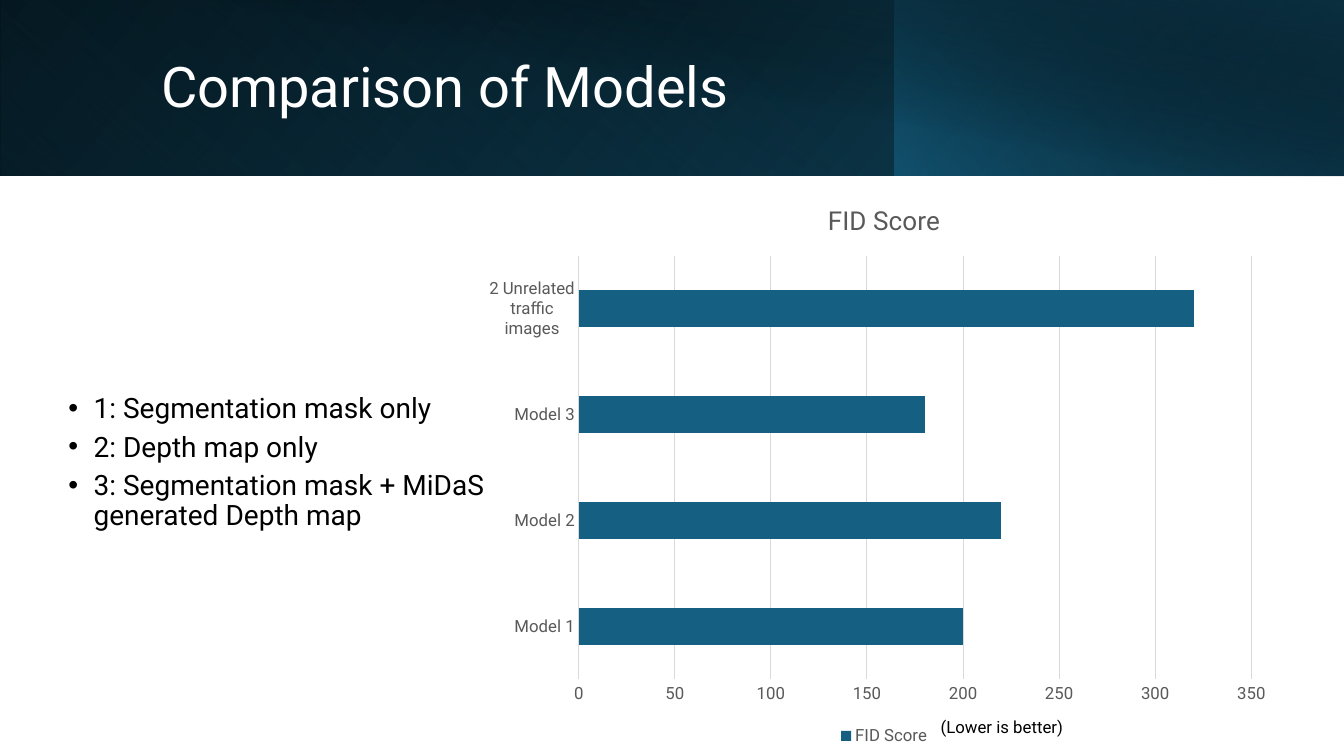
from lxml import etree
from pptx import Presentation
from pptx import util as u
from pptx.chart import data as chart_data
from pptx.dml import color
from pptx.enum import chart as ch, shapes, text
from pptx.oxml import ns

FONT = "Roboto"
WHITE, BLACK, GREY, RULE, TEAL = "FFFFFF", "000000", "595959", "D9D9D9", "156082"


def rgb(value):
    return color.RGBColor.from_string(value)


def add_node(parent, tag, **attributes):
    return etree.SubElement(parent, ns.qn(tag), {k: str(v) for k, v in attributes.items()})


class SlideBuilder:
    def __init__(self, slide):
        self.slide = slide

    def style_font(self, font, size, hue):
        font.name, font.size, font.bold = FONT, u.Pt(size), False
        font.color.rgb = rgb(hue)

    def gradient_band(self, place, stops, angle, flip=False, rotation=0):
        """Add a rectangle; each stop is (position %, colour, opacity %)."""
        band = self.slide.shapes.add_shape(
            shapes.MSO_SHAPE.RECTANGLE, *[u.Inches(n) for n in place])
        band.shadow.inherit = False
        band.line.fill.background()
        band.rotation = rotation
        props = band._element.spPr
        if flip:
            props.find(ns.qn("a:xfrm")).set("flipH", "1")
        fill = etree.Element(ns.qn("a:gradFill"), rotWithShape="1")
        stop_list = add_node(fill, "a:gsLst")
        for position, hue, opacity in stops:
            stop = add_node(stop_list, "a:gs", pos=position * 1000)
            tint = add_node(stop, "a:srgbClr", val=hue)
            if opacity < 100:
                add_node(tint, "a:alpha", val=opacity * 1000)
        add_node(fill, "a:lin", ang=angle * 60000, scaled=0)
        props.find(ns.qn("a:prstGeom")).addnext(fill)

    def text_box(self, place, lines, size, hue, middle=True, bullets=False, left_inset=0.1):
        box = self.slide.shapes.add_textbox(*[u.Inches(n) for n in place])
        frame = box.text_frame
        frame.word_wrap = True
        frame.margin_left = u.Inches(left_inset)
        if not middle:
            frame.margin_top = u.Inches(0.1)
        frame.vertical_anchor = text.MSO_ANCHOR.MIDDLE if middle else text.MSO_ANCHOR.TOP
        for index, line in enumerate(lines):
            para = frame.add_paragraph() if index else frame.paragraphs[0]
            para.line_spacing = 0.9
            if bullets:
                para.space_after = u.Pt(6)
                props = para._p.get_or_add_pPr()
                props.set("marL", str(u.Inches(0.33)))
                props.set("indent", str(u.Inches(-0.25)))
                add_node(props, "a:buFont", typeface="Arial")
                add_node(props, "a:buChar", char="•")
            span = para.add_run()
            span.text = line
            self.style_font(span.font, size, hue)

    def bar_chart(self, place, name, scores):
        data = chart_data.CategoryChartData()
        data.categories = list(scores)
        data.add_series(name, list(scores.values()))
        chart = self.slide.shapes.add_chart(
            ch.XL_CHART_TYPE.BAR_CLUSTERED, *[u.Inches(n) for n in place], data).chart
        self.style_font(chart.font, 10, BLACK)

        # Title and legend
        chart.has_title = True
        span = chart.chart_title.text_frame.paragraphs[0].add_run()
        span.text = name
        self.style_font(span.font, 18.6, GREY)
        chart.chart_title.include_in_layout = False
        chart.has_legend = True
        chart.legend.position = ch.XL_LEGEND_POSITION.BOTTOM
        chart.legend.include_in_layout = False
        self.style_font(chart.legend.font, 12, GREY)

        # Bars
        plot = chart.plots[0]
        plot.gap_width = 182
        plot.vary_by_categories = False
        fill = plot.series[0].format.fill
        fill.solid()
        fill.fore_color.rgb = rgb(TEAL)

        # Axes
        for axis in (chart.category_axis, chart.value_axis):
            axis.major_tick_mark = axis.minor_tick_mark = ch.XL_TICK_MARK.NONE
            self.style_font(axis.tick_labels.font, 12, GREY)
        chart.category_axis.has_major_gridlines = False
        chart.value_axis.has_major_gridlines = True
        chart.value_axis.minimum_scale = 0
        chart.value_axis.maximum_scale = 350
        chart.value_axis.major_unit = 50
        chart.value_axis.format.line.fill.background()
        for line in (chart.category_axis.format.line,
                     chart.value_axis.major_gridlines.format.line):
            line.color.rgb = rgb(RULE)
            line.width = u.Pt(0.75)


def main():
    deck = Presentation()
    deck.slide_width, deck.slide_height = u.Inches(13.33), u.Inches(7.5)
    page = SlideBuilder(deck.slides.add_slide(deck.slide_layouts[6]))

    # Header made of layered gradients
    page.gradient_band((0, 0, 13.33, 1.74),
                       [(0, BLACK, 100), (100, "104862", 100)], 140, flip=True)
    page.gradient_band((0, 0, 8.88, 1.74),
                       [(20, TEAL, 0), (100, "0B3041", 55)], 230, flip=True, rotation=180)
    page.gradient_band((8.87, 0, 4.46, 1.74),
                       [(0, TEAL, 66), (100, BLACK, 30)], 220, flip=True)
    page.gradient_band((0.5, 0, 12.83, 1.75),
                       [(50, BLACK, 0), (99, "0B3041", 52)], 280)
    page.text_box((1.5, 0.32, 10.82, 1.13), ["Comparison of Models"], 40, WHITE)

    # Model descriptions
    page.text_box((0.5, 2.58, 5.13, 4.03), [
        "1: Segmentation mask only",
        "2: Depth map only",
        "3: Segmentation mask + MiDaS generated Depth map",
    ], 20, BLACK, bullets=True)

    # Score chart and its note
    page.bar_chart((4.83, 1.8, 7.88, 5.64), "FID Score", {
        "Model 1": 200, "Model 2": 220, "Model 3": 180, "2 Unrelated traffic images": 320})
    page.text_box((9.27, 7.03, 2, 0.4), ["(Lower is better)"], 12, BLACK,
                  middle=False, left_inset=0.06)

    deck.save("out.pptx")


if __name__ == "__main__":
    main()
